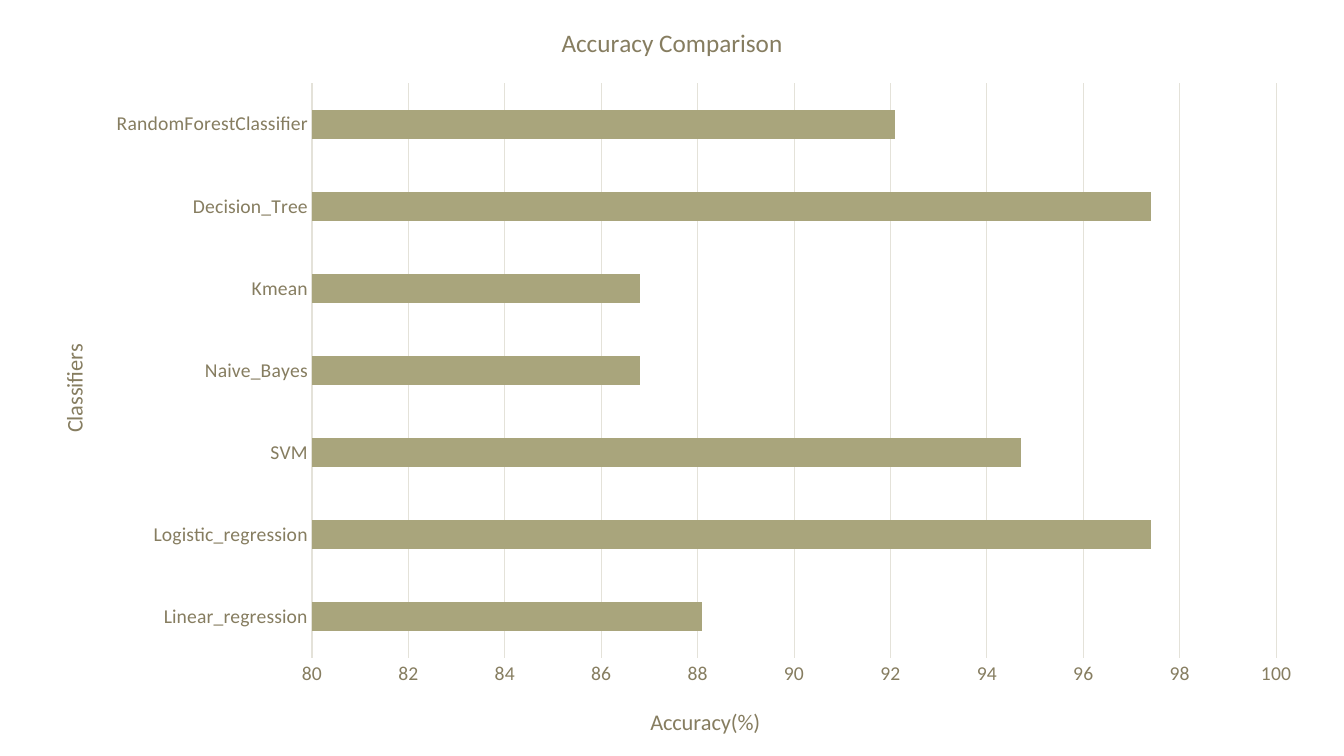
from lxml import etree
from pptx import Presentation
from pptx.chart.data import CategoryChartData
from pptx.dml.color import RGBColor
from pptx.enum.chart import XL_CHART_TYPE, XL_TICK_MARK
from pptx.oxml.ns import qn
from pptx.util import Inches, Pt

BAR_CHART = XL_CHART_TYPE.BAR_CLUSTERED
NO_TICK = XL_TICK_MARK.NONE
FONT = "Calibri"
COLORS = {"text": "867D60", "grid": "E4E2D9", "bar": "A9A57C"}
ACCURACY = {
    "Linear_regression": 88.1,
    "Logistic_regression": 97.4,
    "SVM": 94.7,
    "Naive_Bayes": 86.8,
    "Kmean": 86.8,
    "Decision_Tree": 97.4,
    "RandomForestClassifier": 92.1,
}


def write_text(frame, text, size, color=COLORS["text"], bold=False):
    frame.text = text
    font = frame.paragraphs[0].runs[0].font
    font.name, font.size, font.bold = FONT, Pt(size), bold
    font.color.rgb = RGBColor.from_string(color)


def place(element, index, **settings):
    """Give a chart part a manual layout, in fractions of the chart."""
    for old_layout in element.findall(qn("c:layout")):
        element.remove(old_layout)
    layout = etree.Element(qn("c:layout"))
    manual = etree.SubElement(layout, qn("c:manualLayout"))
    for name, value in settings.items():
        etree.SubElement(manual, qn(f"c:{name}"), val=str(value))
    element.insert(index, layout)


# Slide
deck = Presentation()
deck.slide_width, deck.slide_height = Inches(13.33), Inches(7.5)
page = deck.slides.add_slide(deck.slide_layouts[6])

# Chart
data = CategoryChartData()
data.categories = list(ACCURACY)
data.add_series("Series 1", list(ACCURACY.values()))
chart = page.shapes.add_chart(
    BAR_CHART, Inches(0.29), Inches(0), Inches(12.75), Inches(7.5), data
).chart
chart.has_legend = False
chart.font.name = FONT
chart.has_title = True
write_text(chart.chart_title.text_frame, "Accuracy Comparison", 18)

# Bars
plot = chart.plots[0]
plot.gap_width = 182
plot.vary_by_categories = False
bar_fill = plot.series[0].format.fill
bar_fill.solid()
bar_fill.fore_color.rgb = RGBColor.from_string(COLORS["bar"])

# Axes
classifiers, accuracy = chart.category_axis, chart.value_axis
for axis, title, left, top in (
    (classifiers, "Classifiers", 0.02, 0.45),
    (accuracy, "Accuracy(%)", 0.48, 0.93),
):
    axis.major_tick_mark = axis.minor_tick_mark = NO_TICK
    labels = axis.tick_labels.font
    labels.name, labels.size = FONT, Pt(14)
    labels.color.rgb = RGBColor.from_string(COLORS["text"])
    write_text(axis.axis_title.text_frame, title, 16)
    place(axis.axis_title._element, 1, xMode="edge", yMode="edge", x=left, y=top)

accuracy.minimum_scale, accuracy.maximum_scale = 80, 100
accuracy.major_unit = 2
accuracy.tick_labels.number_format = "General"
accuracy.tick_labels.number_format_is_linked = False
accuracy.format.line.fill.background()
accuracy.has_major_gridlines = True
for line in (classifiers.format.line, accuracy.major_gridlines.format.line):
    line.width = Pt(0.75)
    line.color.rgb = RGBColor.from_string(COLORS["grid"])

# Turn the category title and fix the plot area
turned = classifiers.axis_title.text_frame._txBody.find(qn("a:bodyPr"))
turned.set("rot", "-5400000")
turned.set("vert", "horz")
plot_area = chart._chartSpace.find(f"{qn('c:chart')}/{qn('c:plotArea')}")
place(plot_area, 0, layoutTarget="inner", xMode="edge", yMode="edge",
      x=0.22, y=0.11, w=0.75, h=0.76)

deck.save("out.pptx")
